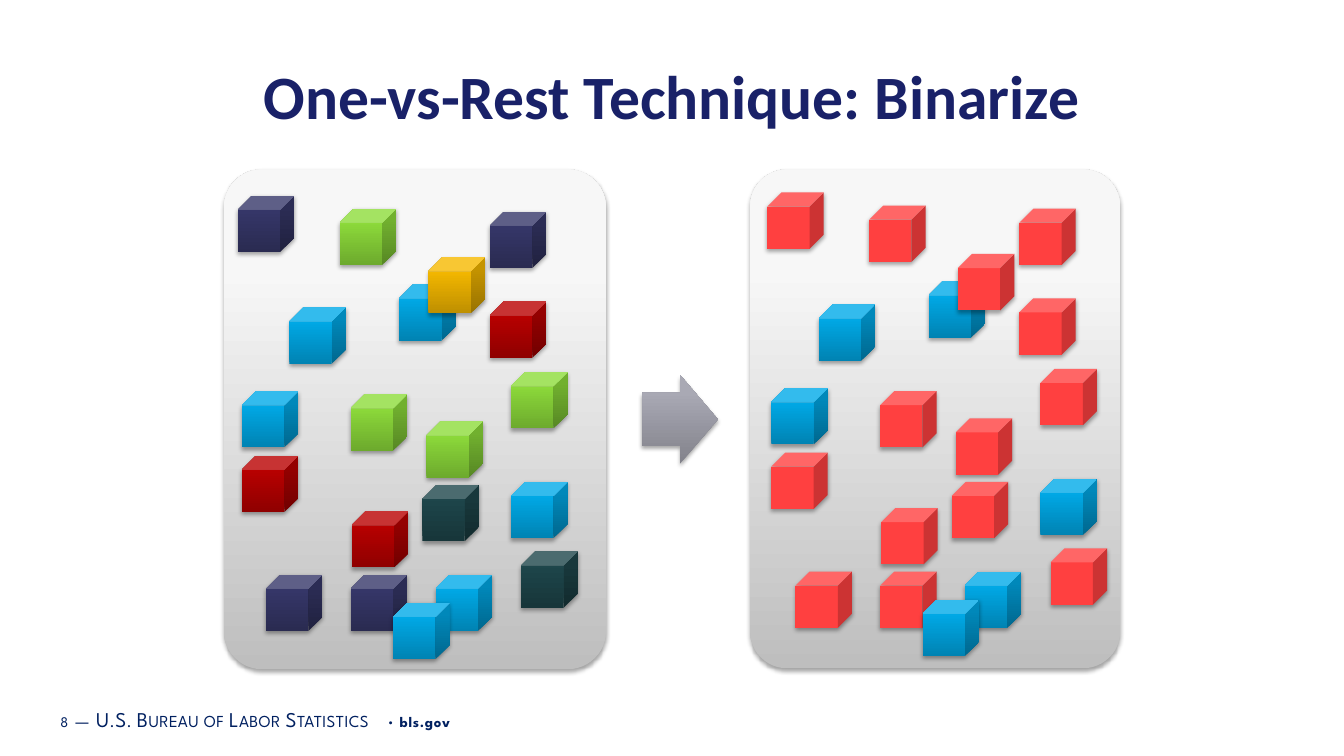
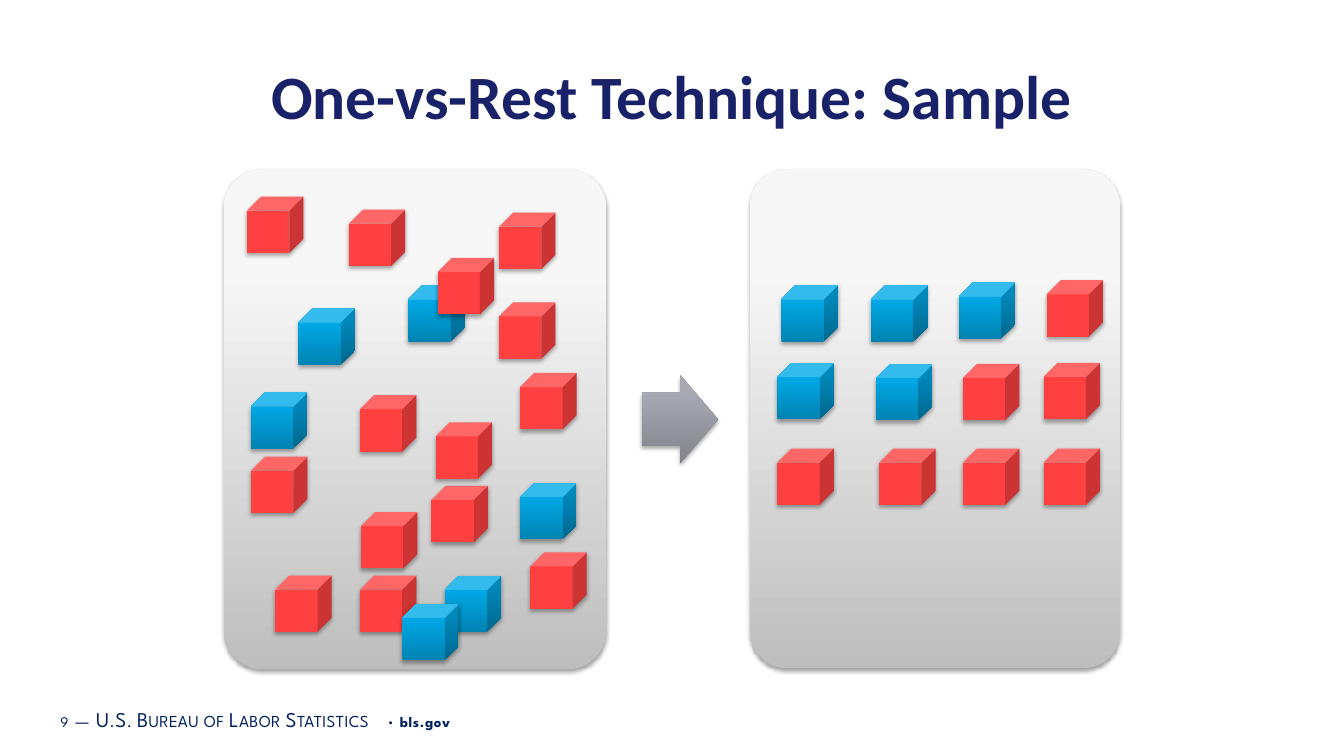
from lxml import etree
from pptx import Presentation
from pptx import util as u
from pptx.dml.color import RGBColor
from pptx.enum import shapes, text
from pptx.oxml.ns import qn

COLORS = {"title": "192168", "footer": "002060", "shadow": "000000"}
FILLS = {
    "panel": ("BEBEBE", "F7F7F7"),
    "arrow": ("82828B", "A9A9B4"),
    "blue": ("0083B3", "00ABE9"),
    "navy": ("2A2B51", "36376A"),
    "crimson": ("8F0000", "BA0000"),
    "gold": ("BE8F00", "F7BA00"),
    "green": ("6DAA2D", "8EDC3B"),
    "teal": ("17363A", "1E464B"),
    "red": ("FF4040",),
}
SLIDE_SIZE = (13.33, 7.5)
TITLE_BOX = (0.54, 0.5, 12.25, 0.88)
FOOTER_BOX = (0.53, 6.93, 8.47, 0.4)
LEFT_PANEL = (2.22, 1.68, 3.79, 4.96)
RIGHT_PANEL = (7.44, 1.68, 3.67, 4.95)
ARROW_BOX = (6.37, 3.72, 0.75, 0.88)
CUBE_SIZE = 0.56
TARGET, REST = "blue", "red"

SCATTER = [
    (4.32, 5.7, "blue"), (3.48, 5.7, "navy"), (4.86, 2.99, "crimson"),
    (3.96, 2.82, "blue"), (4.86, 2.1, "navy"), (2.64, 5.7, "navy"),
    (2.4, 3.88, "blue"), (2.4, 4.52, "crimson"), (2.36, 1.94, "navy"),
    (4.25, 2.55, "gold"), (3.49, 5.07, "crimson"), (2.87, 3.05, "blue"),
    (3.9, 5.98, "blue"), (5.07, 4.78, "blue"), (3.48, 3.91, "green"),
    (5.07, 3.69, "green"), (3.37, 2.07, "green"), (4.19, 4.81, "teal"),
    (5.17, 5.47, "teal"), (4.23, 4.18, "green"),
]
SAMPLE = [
    (7.75, 2.83, "blue"), (8.64, 2.83, "blue"), (9.51, 2.8, "blue"), (10.38, 2.78, "red"),
    (7.71, 3.6, "blue"), (8.69, 3.61, "blue"), (9.55, 3.61, "red"), (10.35, 3.6, "red"),
    (7.71, 4.45, "red"), (8.72, 4.45, "red"), (9.55, 4.45, "red"), (10.35, 4.45, "red"),
]


def binarize(cubes, shift_x, shift_y):
    return [(left + shift_x, top + shift_y, TARGET if color == TARGET else REST)
            for left, top, color in cubes]


SLIDES = [
    (8, "One-vs-Rest Technique: Binarize", SCATTER + binarize(SCATTER, 5.25, -0.03)),
    (9, "One-vs-Rest Technique: Sample", SAMPLE + binarize(SCATTER, 0.09, 0.01)),
]


def rgb(name):
    return RGBColor.from_string(COLORS.get(name, name))


def place(shape, box):
    shape.left, shape.top, shape.width, shape.height = map(u.Inches, box)


def paint(shape, colors):
    if len(colors) == 1:
        shape.fill.solid()
        shape.fill.fore_color.rgb = rgb(colors[0])
        return
    shape.fill.gradient()
    shape.fill.gradient_angle = 90
    for stop, color, position in zip(shape.fill.gradient_stops, colors, (0, 0.8)):
        stop.color.rgb = rgb(color)
        stop.position = position


def cast_shadow(shape):
    shape.shadow.inherit = False
    effects = shape.element.spPr.find(qn("a:effectLst"))
    shadow = etree.SubElement(effects, qn("a:outerShdw"), blurRad=str(u.Pt(3.1)),
                              dist=str(u.Pt(1.8)), dir="5400000", rotWithShape="0")
    color = etree.SubElement(shadow, qn("a:srgbClr"), val=COLORS["shadow"])
    etree.SubElement(color, qn("a:alpha"), val="35000")


def add_solid(slide, preset, box, fill, adjustments=()):
    shape = slide.shapes.add_shape(preset, *map(u.Inches, box))
    for index, value in enumerate(adjustments):
        shape.adjustments[index] = value
    paint(shape, FILLS[fill])
    shape.line.fill.background()
    cast_shadow(shape)


def add_footer(slide, number):
    box = slide.shapes.add_textbox(*map(u.Inches, FOOTER_BOX))
    frame = box.text_frame
    frame.word_wrap = True
    frame.vertical_anchor = text.MSO_ANCHOR.MIDDLE
    frame.margin_left = frame.margin_right = u.Inches(0.07)
    frame.margin_top = frame.margin_bottom = u.Inches(0.04)
    paragraph = frame.paragraphs[0]
    paragraph.font.name = "League Spartan"
    paragraph.font.color.rgb = rgb("footer")
    parts = [
        (str(number), 10.5, False), (" ", 16, False), ("—", 15, True), (" ", 16, False),
        ("U.S. Bureau of Labor Statistics", 15, True), (" • ", 10.5, False),
        ("bls.gov", 10.5, False),
    ]
    for words, size, small_caps in parts:
        run = paragraph.add_run()
        run.text = words
        run.font.size = u.Pt(size)
        properties = run.font._element if hasattr(run.font, "_element") else run._r.get_or_add_rPr()
        properties.set("spc", "30" if small_caps else "50")
        if small_caps:
            properties.set("cap", "small")
    run.font.bold = True


def add_title(slide, words):
    title = slide.shapes.title
    title.text = words
    frame = title.text_frame
    frame.auto_size = text.MSO_AUTO_SIZE.NONE
    frame.vertical_anchor = text.MSO_ANCHOR.MIDDLE
    paragraph = frame.paragraphs[0]
    paragraph.alignment = text.PP_ALIGN.CENTER
    paragraph.font.name = "Calibri"
    paragraph.font.size = u.Pt(44)
    paragraph.font.bold = True
    paragraph.font.color.rgb = rgb("title")


def build_slide(presentation, layout, number, title, cubes):
    slide = presentation.slides.add_slide(layout)
    add_footer(slide, number)
    add_title(slide, title)
    preset = shapes.MSO_SHAPE
    for panel in (LEFT_PANEL, RIGHT_PANEL):
        add_solid(slide, preset.ROUNDED_RECTANGLE, panel, "panel", (0.1,))
    add_solid(slide, preset.RIGHT_ARROW, ARROW_BOX, "arrow", (0.6, 0.5))
    for left, top, color in cubes:
        add_solid(slide, preset.CUBE, (left, top, CUBE_SIZE, CUBE_SIZE), color)


def main():
    presentation = Presentation()
    presentation.slide_width, presentation.slide_height = map(u.Inches, SLIDE_SIZE)
    layout = presentation.slide_layouts.get_by_name("Title Only")
    place(layout.placeholders[0], TITLE_BOX)
    for number, title, cubes in SLIDES:
        build_slide(presentation, layout, number, title, cubes)
    presentation.save("out.pptx")


if __name__ == "__main__":
    main()
